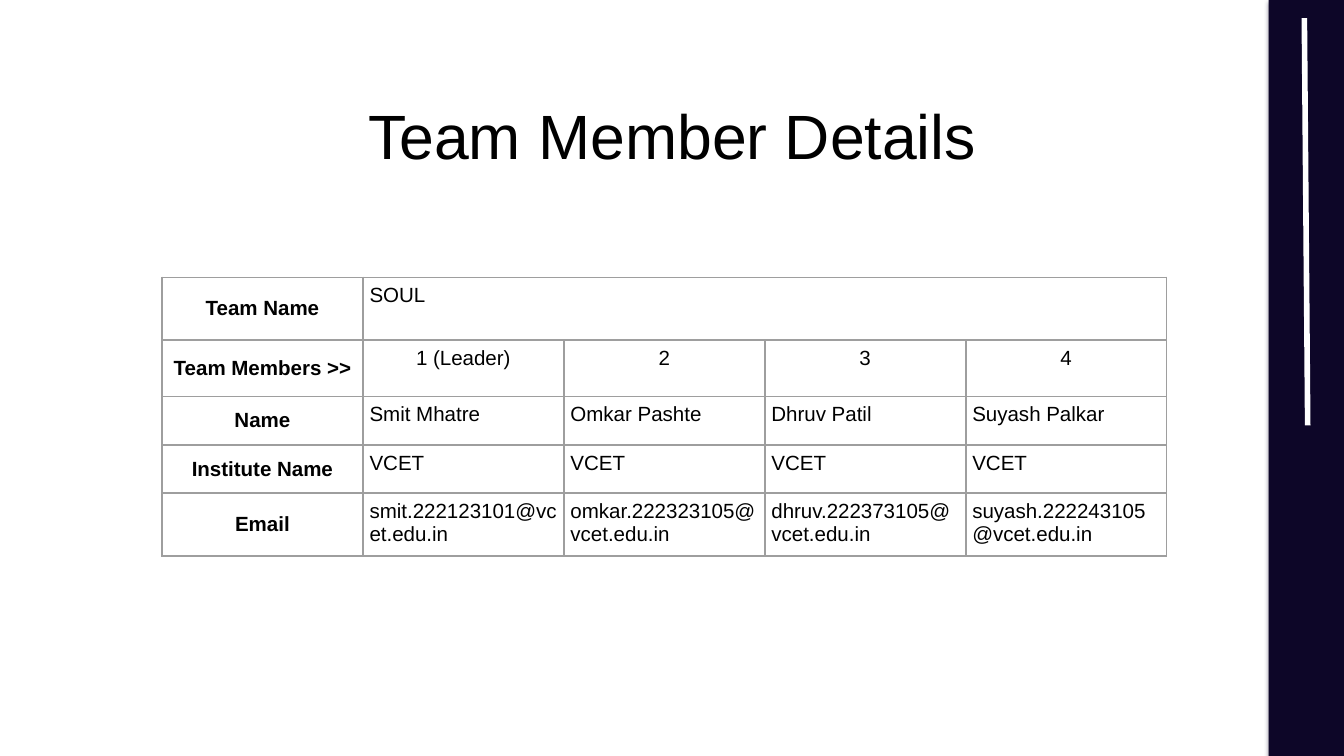
from lxml import etree
from pptx import Presentation
from pptx import util as u
from pptx.dml.color import RGBColor
from pptx.enum import shapes, text
from pptx.oxml import parse_xml
from pptx.oxml.ns import nsdecls, qn

COLOURS = {"ink": "000000", "paper": "FFFFFF", "navy": "0D0628", "grid": "9E9E9E"}
FONT = "Arial"


def rgb(name):
    return RGBColor.from_string(COLOURS[name])


class TeamSlide:
    """Holds the style and the current slide."""

    def __init__(self, deck):
        self.slide = deck.slides.add_slide(deck.slide_layouts[6])
        self.shapes = self.slide.shapes
        self.slide.background.fill.solid()
        self.slide.background.fill.fore_color.rgb = rgb("paper")

    def set_words(self, frame, words, size, bold=False, centred=False, spacing=None):
        frame.word_wrap = True
        paragraph = frame.paragraphs[0]
        paragraph.alignment = text.PP_ALIGN.CENTER if centred else text.PP_ALIGN.LEFT
        paragraph.line_spacing = spacing
        run = paragraph.add_run()
        run.text = words
        formats = {"name": FONT, "size": u.Pt(size), "bold": bold}
        for key, value in formats.items():
            setattr(run.font, key, value)
        run.font.color.rgb = rgb("ink")

    def title(self, words, box, size):
        frame = self.shapes.add_textbox(*map(u.Inches, box)).text_frame
        for side in ("left", "top", "right", "bottom"):
            setattr(frame, f"margin_{side}", 0)
        frame.auto_size = text.MSO_AUTO_SIZE.SHAPE_TO_FIT_TEXT
        self.set_words(frame, words, size, centred=True, spacing=1.4)

    def side_panel(self, box):
        panel = self.shapes.add_shape(
            shapes.MSO_SHAPE.RECTANGLE, *map(u.Inches, box))
        panel.shadow.inherit = False
        panel.fill.solid()
        panel.fill.fore_color.rgb = rgb("navy")
        panel.line.fill.background()
        # Soft shadow below the panel
        effects = panel._element.spPr.find(qn("a:effectLst"))
        effects.append(parse_xml(
            f'<a:outerShdw {nsdecls("a")} blurRad="{u.Pt(4.5)}" dist="{u.Pt(1.5)}" '
            f'dir="5400000" algn="bl" rotWithShape="0">'
            f'<a:srgbClr val="{COLOURS["navy"]}"><a:alpha val="49000"/></a:srgbClr>'
            f'</a:outerShdw>'))

    def accent_line(self, start, end, weight):
        accent = self.shapes.add_connector(
            shapes.MSO_CONNECTOR.STRAIGHT, *map(u.Inches, start + end))
        accent.line.color.rgb = rgb("paper")
        accent.line.width = u.Pt(weight)
        etree.SubElement(accent._element.spPr, qn("a:effectLst"))

    def style_cell(self, cell):
        for side in ("left", "top", "right", "bottom"):
            setattr(cell, f"margin_{side}", u.Inches(0.1))
        cell.fill.solid()
        cell.fill.fore_color.rgb = rgb("paper")
        properties = cell._tc.get_or_add_tcPr()
        paper = properties.find(qn("a:solidFill"))[0]
        etree.SubElement(paper, qn("a:alpha"), val="25000")
        # Borders come before the fill
        for place, side in enumerate("LRTB"):
            properties.insert(place, parse_xml(
                f'<a:ln{side} {nsdecls("a")} w="{u.Pt(2.25)}"><a:solidFill>'
                f'<a:srgbClr val="{COLOURS["grid"]}"/></a:solidFill></a:ln{side}>'))

    def team_table(self, rows, corner, column_width, row_heights, size):
        columns = max(map(len, rows))
        table = self.shapes.add_table(
            len(rows), columns, *map(u.Inches, corner),
            u.Inches(column_width * columns), u.Inches(sum(row_heights))).table
        table.first_row = table.horz_banding = False
        for column in table.columns:
            column.width = u.Inches(column_width)
        for r, (entries, height) in enumerate(zip(rows, row_heights)):
            table.rows[r].height = u.Inches(height)
            for c in range(columns):
                self.style_cell(table.cell(r, c))
            # A short row stretches its last entry to the right edge
            if len(entries) < columns:
                table.cell(r, len(entries) - 1).merge(table.cell(r, columns - 1))
            for c, words in enumerate(entries):
                cell, heading = table.cell(r, c), c == 0
                cell.vertical_anchor = (
                    text.MSO_ANCHOR.MIDDLE if heading else text.MSO_ANCHOR.TOP)
                self.set_words(cell.text_frame, words, size, bold=heading,
                               centred=heading or r == 1)


def main():
    deck = Presentation()
    deck.slide_width, deck.slide_height = u.Inches(20), u.Inches(11.25)
    team = TeamSlide(deck)

    # Heading
    team.title("Team Member Details", (3.55, 0.99, 12.9, 1.13), 67)

    # Right-hand band
    team.side_panel((18.88, 0, 1.12, 11.25))
    team.accent_line((19.41, 0.27), (19.46, 6.33), 6)

    # Members, one column each
    members = [
        ("1 (Leader)", "Smit Mhatre", "smit.222123101"),
        ("2", "Omkar Pashte", "omkar.222323105"),
        ("3", "Dhruv Patil", "dhruv.222373105"),
        ("4", "Suyash Palkar", "suyash.222243105"),
    ]
    numbers, names, mailboxes = zip(*members)
    rows = [
        ("Team Name", "SOUL"),
        ("Team Members >>", *numbers),
        ("Name", *names),
        ("Institute Name", *["VCET"] * len(members)),
        ("Email", *[f"{mailbox}@vcet.edu.in" for mailbox in mailboxes]),
    ]
    team.team_table(rows, (2.41, 4.13), 2.99, (0.93, 0.84, 0.72, 0.72, 0.72), 22)

    deck.save("out.pptx")


if __name__ == "__main__":
    main()
